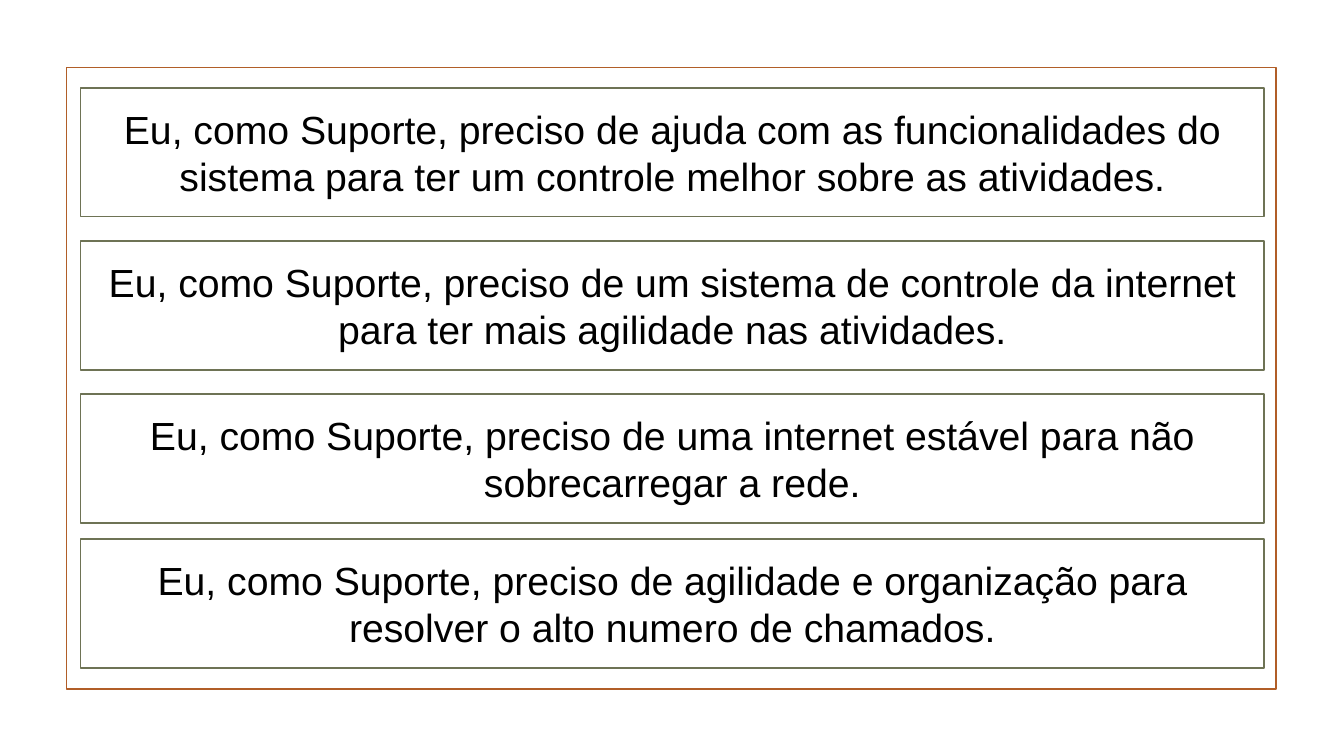
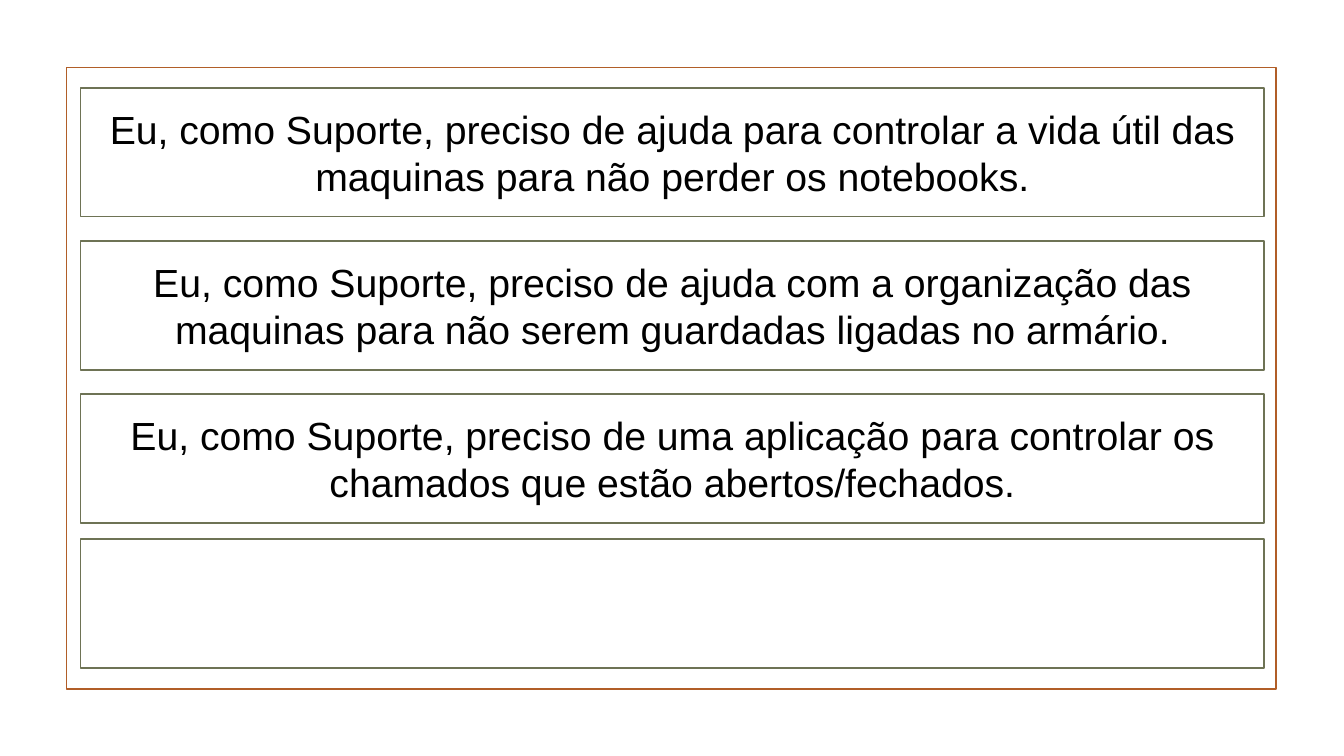
from dataclasses import dataclass
from typing import Any, Optional

import pptx
import pptx.dml.color
import pptx.enum.shapes
import pptx.enum.text
import pptx.presentation
import pptx.shapes.autoshape
import pptx.slide
import pptx.util

Cm = pptx.util.Cm
Color = pptx.dml.color.RGBColor


@dataclass(frozen=True)
class Theme:
    paper: Color = Color(0xFF, 0xFF, 0xFF)
    ink: Color = Color(0x00, 0x00, 0x00)
    frame_line: Color = Color(0xB1, 0x5E, 0x28)
    card_line: Color = Color(0x6E, 0x73, 0x55)
    line_width: pptx.util.Length = pptx.util.Pt(1.25)
    font_name: str = "Arial"
    story_size: pptx.util.Length = pptx.util.Pt(28)


@dataclass(frozen=True)
class Box:
    left: float
    top: float
    width: float
    height: float


THEME = Theme()
SLIDE_WIDTH, SLIDE_HEIGHT = Cm(33.87), Cm(19.05)
FRAME = Box(1.68, 1.7, 30.48, 15.67)
CARD_PITCH = 3.86
LAST_CARD_TOP = 13.59
CARD_TOPS = [2.21 + CARD_PITCH * row for row in range(3)] + [LAST_CARD_TOP]
CARDS = [Box(2.03, top, 29.82, 3.25) for top in CARD_TOPS]

STORY_FRAME_FORMAT = {
    "word_wrap": True,
    "vertical_anchor": pptx.enum.text.MSO_ANCHOR.MIDDLE,
}
STORY_FONT_FORMAT = {"name": THEME.font_name, "size": THEME.story_size}

SUPPORT_STORIES = [
    [
        "Eu, como Suporte, preciso de ajuda com as funcionalidades do sistema "
        "para ter um controle melhor sobre as atividades.",
        "Eu, como Suporte, preciso de um sistema de controle da internet "
        "para ter mais agilidade nas atividades.",
        "Eu, como Suporte, preciso de uma internet estável para não "
        "sobrecarregar a rede.",
        "Eu, como Suporte, preciso de agilidade e organização para resolver "
        "o alto numero de chamados.",
    ],
    [
        "Eu, como Suporte, preciso de ajuda para controlar a vida útil das "
        "maquinas para não perder os notebooks.",
        "Eu, como Suporte, preciso de ajuda com a organização das maquinas "
        "para não serem guardadas ligadas no armário.",
        "Eu, como Suporte, preciso de uma aplicação para controlar os "
        "chamados que estão abertos/fechados.",
        "",
    ],
]


def apply_format(target: Any, values: dict[str, Any]) -> None:
    for name, value in values.items():
        setattr(target, name, value)


def add_box(
    slide: pptx.slide.Slide, box: Box, line: Color, fill: Optional[Color] = None
) -> pptx.shapes.autoshape.Shape:
    shape = slide.shapes.add_shape(
        pptx.enum.shapes.MSO_SHAPE.RECTANGLE,
        Cm(box.left), Cm(box.top), Cm(box.width), Cm(box.height),
    )
    shape.shadow.inherit = False
    if fill is None:
        shape.fill.background()
    else:
        shape.fill.solid()
        shape.fill.fore_color.rgb = fill
    shape.line.color.rgb = line
    shape.line.width = THEME.line_width
    return shape


def add_story_card(slide: pptx.slide.Slide, box: Box, story: str) -> None:
    card = add_box(slide, box, THEME.card_line, THEME.paper)
    if not story:
        return
    apply_format(card.text_frame, STORY_FRAME_FORMAT)
    paragraph = card.text_frame.paragraphs[0]
    paragraph.alignment = pptx.enum.text.PP_ALIGN.CENTER
    run = paragraph.add_run()
    run.text = story
    apply_format(run.font, STORY_FONT_FORMAT)
    run.font.color.rgb = THEME.ink


def add_story_slide(
    presentation: pptx.presentation.Presentation, stories: list[str]
) -> None:
    slide = presentation.slides.add_slide(presentation.slide_layouts[6])
    add_box(slide, FRAME, THEME.frame_line)
    for box, story in zip(CARDS, stories):
        add_story_card(slide, box, story)


def main() -> None:
    presentation = pptx.Presentation()
    apply_format(
        presentation, {"slide_width": SLIDE_WIDTH, "slide_height": SLIDE_HEIGHT}
    )
    for stories in SUPPORT_STORIES:
        add_story_slide(presentation, stories)
    presentation.save("out.pptx")


if __name__ == "__main__":
    main()
